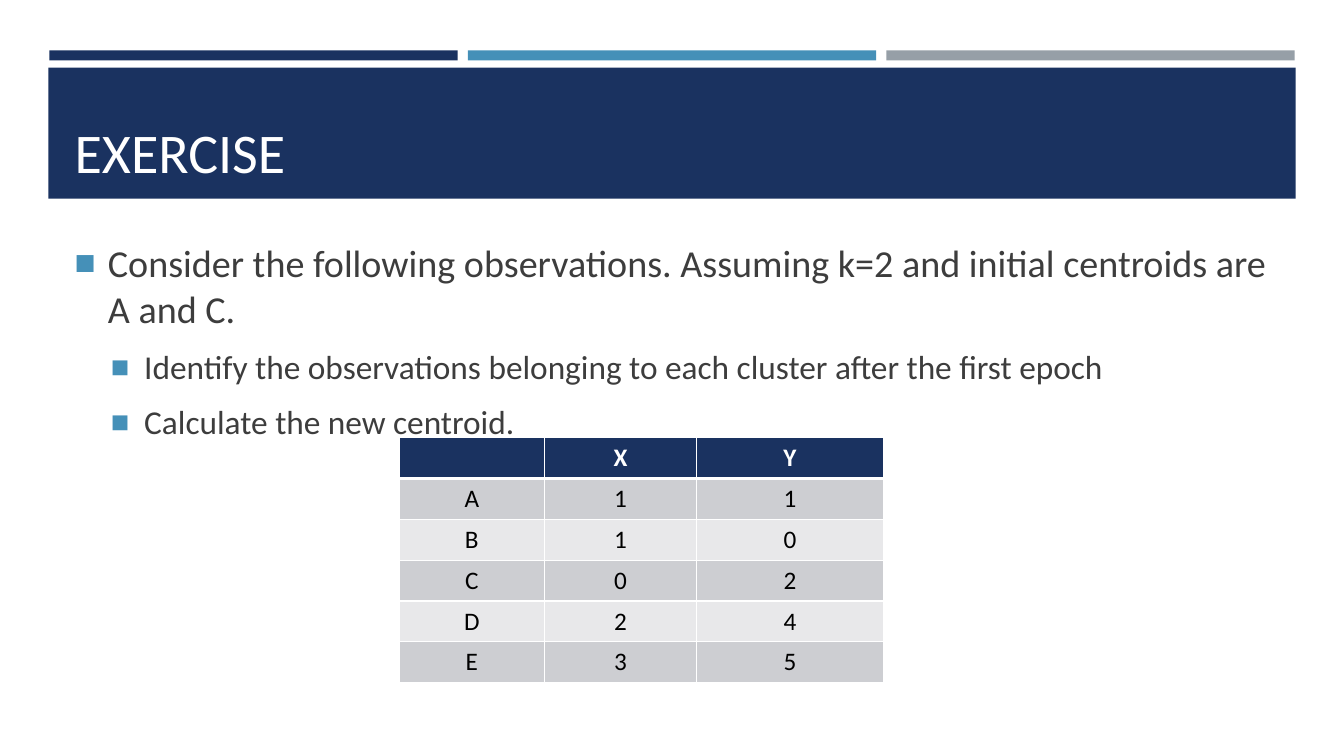
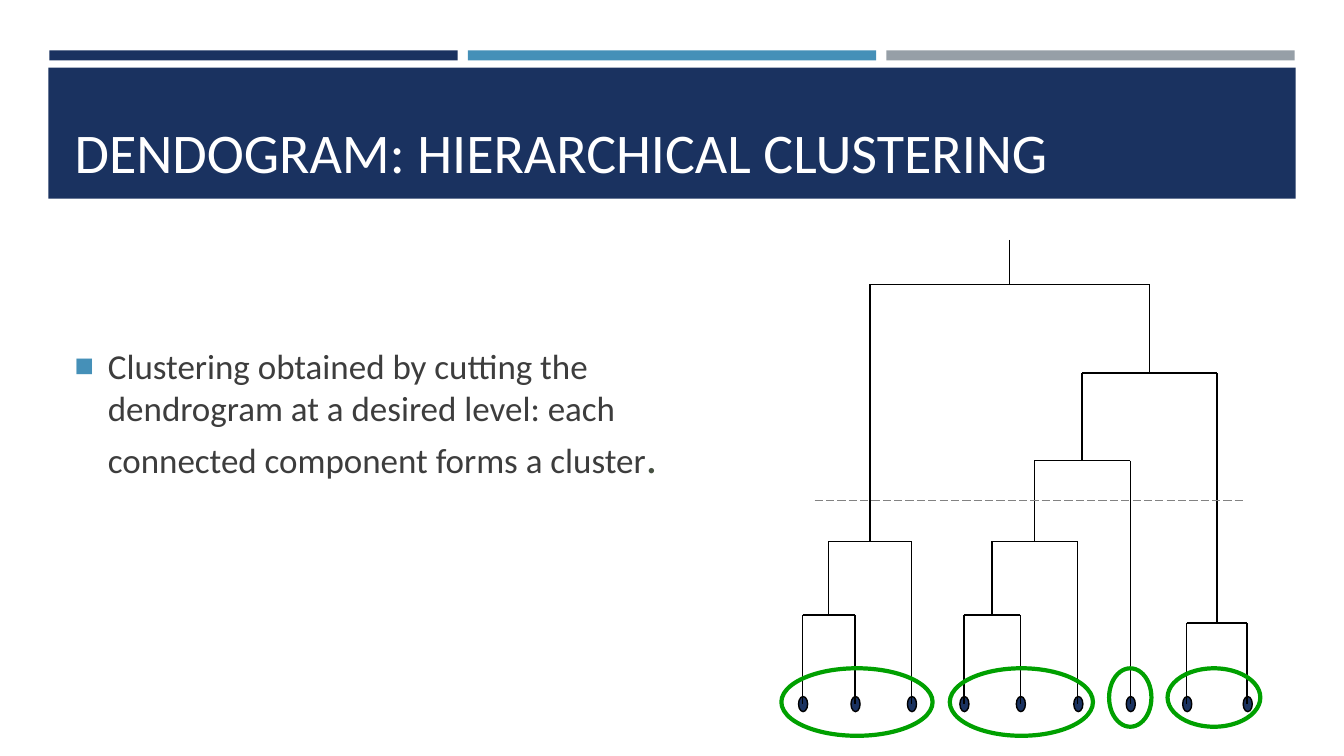
from lxml.etree import SubElement
from pptx import Presentation
from pptx.dml.color import RGBColor
from pptx.enum.dml import MSO_LINE
from pptx.enum.shapes import MSO_CONNECTOR as Link, MSO_SHAPE as Form
from pptx.enum.text import MSO_ANCHOR as Anchor, MSO_AUTO_SIZE as Fit, PP_ALIGN as Align
from pptx.oxml.ns import qn
from pptx.util import Pt

PX = 9144  # 100 px to the inch
FONT = "Calibri"
HEX = {
    "navy": "1A3260", "blue": "4590B8", "gray": "969FA7", "white": "FFFFFF",
    "text": "3D3D3D", "stop": "465142", "black": "000000", "cut": "828282",
    "ring": "00A000", "dark": "CDCED2", "light": "E8E8EA",
}

# Dendrogram: a leaf is its x, a merge is (y, left, right)
TREE = (44,
        (299, (372, 21, 73), 129),
        (132,
         (219, (299, (372, 181, 237), 294), 346),
         (380, 402, 462)))
LEAF_Y = 460
RINGS = [(0, 150, 67), (167, 142, 67), (325, 42, 58), (383, 92, 58)]  # x, w, h


def rgb(name):
    return RGBColor.from_string(HEX[name])


def emu(*px):
    return [round(v * PX) for v in px]


def place(shape, box):
    shape.left, shape.top, shape.width, shape.height = emu(*box)


def style(run, size, color, bold=False):
    font = run.font
    font.name, font.size, font.bold = FONT, Pt(size), bold
    font.color.rgb = rgb(color)


def draw(slide, form, box, fill=None, line=None, width=1):
    shape = slide.shapes.add_shape(form, *emu(*box))
    shape.shadow.inherit = False
    if fill:
        shape.fill.solid()
        shape.fill.fore_color.rgb = rgb(fill)
    else:
        shape.fill.background()
    if line:
        shape.line.color.rgb = rgb(line)
        shape.line.width = Pt(width)
    else:
        shape.line.fill.background()
    return shape


def link(slide, start, end, color="black", width=1):
    line = slide.shapes.add_connector(Link.STRAIGHT, *emu(*start, *end))
    line.line.color.rgb = rgb(color)
    line.line.width = Pt(width)
    SubElement(line.element.spPr, qn("a:effectLst"))
    return line


# Shared look: bands and title box live on the layout
def dress(layout, slide):
    bands = [draw(slide, Form.RECTANGLE, (49 + 415 * i, 50, 405, 10), color)
             for i, color in enumerate(("navy", "blue", "gray"))]
    bands.append(draw(slide, Form.RECTANGLE, (48, 67, 1237, 130), "navy"))
    for i, band in enumerate(bands):
        band.element.nvSpPr.cNvPr.id = 20 + i
        layout.shapes.element.insert(2 + i, band.element)
    place(layout.placeholders[0], (64, 77, 1206, 111))


def head(slide, text):
    frame = slide.shapes.title.text_frame
    frame.text = text
    frame.auto_size = Fit.NONE
    frame.vertical_anchor = Anchor.BOTTOM
    para = frame.paragraphs[0]
    para.alignment = Align.LEFT
    style(para.runs[0], 40, "white")


def bullet(para, level):
    props = para._p.get_or_add_pPr()
    props.set("marL", str(emu(33 + 36 * level)[0]))
    props.set("indent", str(emu(-33)[0]))
    color = SubElement(props, qn("a:buClr"))
    SubElement(color, qn("a:srgbClr"), val=HEX["blue"])
    SubElement(props, qn("a:buSzPct"), val="92000")
    SubElement(props, qn("a:buFont"), typeface="Arial")
    SubElement(props, qn("a:buChar"), char="■")


def body(slide, box, items):
    """Fill the body with (level, size, text) items."""
    shape = slide.placeholders[1]
    place(shape, box)
    frame = shape.text_frame
    frame.text = "\n".join(text for _, _, text in items)
    frame.auto_size = Fit.NONE
    frame.vertical_anchor = Anchor.TOP
    for i, (para, (level, size, _)) in enumerate(zip(frame.paragraphs, items)):
        para.level = level
        bullet(para, level)
        para.space_before = Pt(round(size * 0.2, 1) if i else 0)
        para.space_after = Pt(6)
        style(para.runs[0], size, "text")
    return frame


# Table of observations
def edge(cell, low):
    props = cell._tc.get_or_add_tcPr()
    for side in "LRTB":
        width = low if side == "B" else 1
        line = SubElement(props, qn("a:ln" + side), w=str(Pt(width)))
        fill = SubElement(line, qn("a:solidFill"))
        SubElement(fill, qn("a:srgbClr"), val=HEX["white"])


def grid(slide, box, rows, widths):
    table = slide.shapes.add_table(len(rows), len(widths), *emu(*box)).table
    for col, width in zip(table.columns, widths):
        col.width = emu(width)[0]
    for r, row in enumerate(rows):
        top = r == 0
        shade = "navy" if top else ("light", "dark")[r % 2]
        for c, text in enumerate(row):
            cell = table.cell(r, c)
            edge(cell, 3 if top else 1)
            cell.fill.solid()
            cell.fill.fore_color.rgb = rgb(shade)
            cell.text = text
            para = cell.text_frame.paragraphs[0]
            para.alignment = Align.CENTER
            for run in para.runs:
                style(run, 18, "white" if top else "black", top)


# Dendrogram with its cut line and cluster rings
def tree(slide, left, top):
    def join(a, b, *look):
        return link(slide, (left + a[0], top + a[1]), (left + b[0], top + b[1]), *look)

    def grow(node):
        if isinstance(node, int):
            draw(slide, Form.OVAL, (left + node - 4, top + LEAF_Y - 7, 9, 15),
                 "navy", "black")
            return node, LEAF_Y
        y, *kids = node
        ends = [grow(kid) for kid in kids]
        for x, low in ends:
            join((x, y), (x, low))
        (first, _), (last, _) = ends
        join((first, y), (last, y))
        return (first + last) // 2, y

    root = grow(TREE)
    join((root[0], 0), root)
    cut = join((33, 259), (458, 259), "cut", 0.75)
    cut.line.dash_style = MSO_LINE.LONG_DASH
    for x, width, height in RINGS:
        draw(slide, Form.OVAL, (left + x, top + 425, width, height),
             line="ring", width=3)


def task(slide):
    head(slide, "EXERCISE")
    body(slide, (64, 233, 1206, 213), [
        (0, 27.2, "Consider the following observations. Assuming k=2 and "
                  "initial centroids are A and C."),
        (1, 23.8, "Identify the observations belonging to each cluster after "
                  "the first epoch"),
        (1, 23.8, "Calculate the new centroid."),
    ])
    rows = [("", "X", "Y"), "A11", "B10", "C02", "D24", "E35"]
    grid(slide, (396, 434, 480, 242), rows, (144, 151, 185))


def chart(slide):
    head(slide, "DENDOGRAM: HIERARCHICAL CLUSTERING")
    frame = body(slide, (64, 337, 628, 160), [
        (0, 25, "Clustering obtained by cutting the dendrogram at a desired "
                "level: each connected component forms a cluster"),
    ])
    stop = frame.paragraphs[0].add_run()
    stop.text = "."
    style(stop, 32, "stop")
    tree(slide, 775, 238)


def main():
    deck = Presentation()
    deck.slide_width, deck.slide_height = emu(1333, 750)
    layout = deck.slide_layouts[1]
    pages = [deck.slides.add_slide(layout) for _ in range(2)]
    dress(layout, pages[0])
    task(pages[0])
    chart(pages[1])
    deck.save("out.pptx")


if __name__ == "__main__":
    main()
